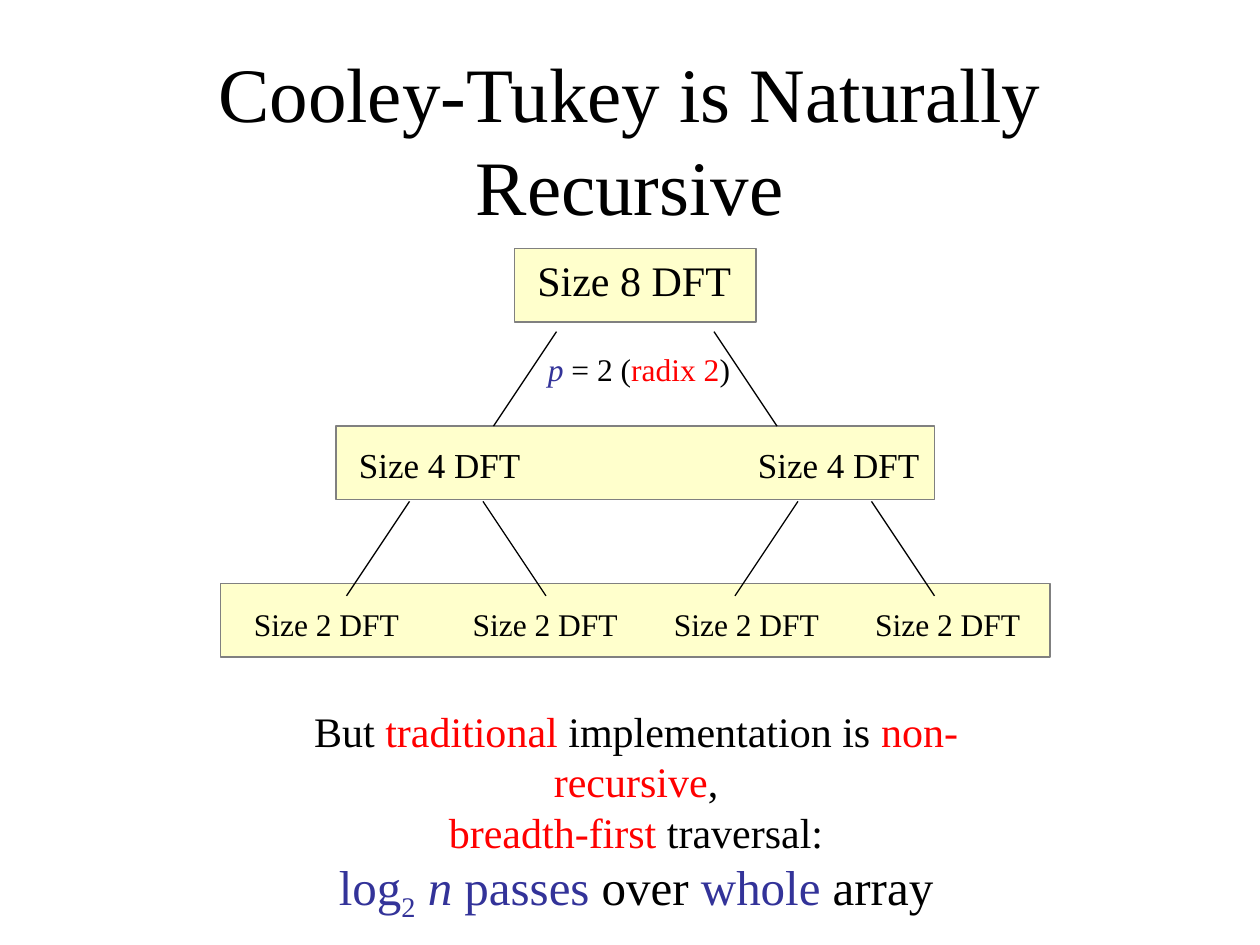
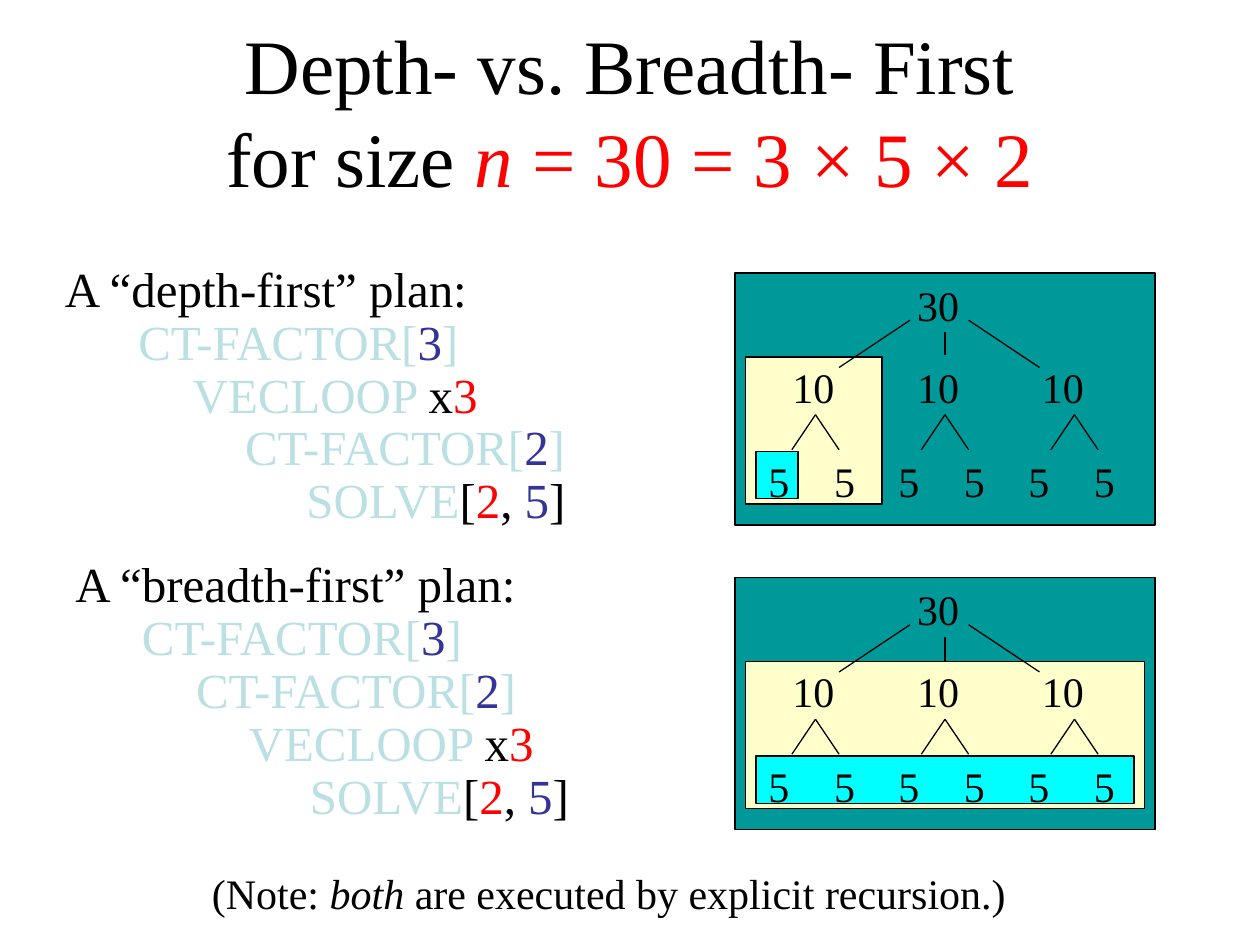
import dataclasses

import lxml.etree
import pptx
import pptx.dml.color
import pptx.enum.shapes
import pptx.enum.text
import pptx.oxml.ns
import pptx.util

Pt = pptx.util.Pt
ALIGN = pptx.enum.text.PP_ALIGN
ANCHOR = pptx.enum.text.MSO_ANCHOR
FIT = pptx.enum.text.MSO_AUTO_SIZE


@dataclasses.dataclass(frozen=True)
class Theme:
    font: str = "Times New Roman"
    ink: str = "000000"
    red: str = "FF0000"
    navy: str = "333399"
    pale: str = "BBE0E3"
    cream: str = "FFFFCC"
    teal: str = "009999"
    cyan: str = "00FFFF"
    gray: str = "808080"
    title: int = 44
    code: int = 28
    body: int = 24
    mid: int = 20
    small: int = 18
    rule: float = 0.75


T = Theme()


def color(name):
    return pptx.dml.color.RGBColor.from_string(name)


def write(frame, paras, size=T.body, align=ALIGN.LEFT):
    """Fill a frame; a run is a string or (text, color, style), "\n" a break."""
    for i, runs in enumerate(paras):
        para = frame.paragraphs[0] if i == 0 else frame.add_paragraph()
        para.alignment = align
        para.font.size = Pt(size)
        for item in runs:
            if item == "\n":
                para.add_line_break()
                continue
            words, tint, style = (item, T.ink, "") if isinstance(item, str) else item
            run = para.add_run()
            run.text = words
            run.font.name = T.font
            run.font.size = Pt(T.code if style.startswith("big") else size)
            run.font.color.rgb = color(tint)
            run.font.italic = style.endswith("italic")
            if style.endswith("sub"):
                run.font._element.set("baseline", "-25000")


def label(slide, box, *paras, wrap=False, inset=7.2, **form):
    """Add a text box; a one-line label gets spare room at its right."""
    shape = slide.shapes.add_textbox(*map(Pt, box))
    frame = shape.text_frame
    frame.word_wrap = wrap
    frame.auto_size = FIT.SHAPE_TO_FIT_TEXT
    frame.margin_left = Pt(inset)
    frame.margin_right = Pt(inset if wrap else 2)
    write(frame, paras, **form)


def head(slide, box, *runs):
    shape = slide.shapes.title
    shape.left, shape.top, shape.width, shape.height = map(Pt, box)
    frame = shape.text_frame
    frame.word_wrap = True
    frame.auto_size = FIT.NONE
    frame.vertical_anchor = ANCHOR.MIDDLE
    frame.margin_left = frame.margin_right = Pt(18)
    write(frame, [runs], size=T.title, align=ALIGN.CENTER)


def rect(slide, box, fill, edge=T.ink):
    shape = slide.shapes.add_shape(
        pptx.enum.shapes.MSO_SHAPE.RECTANGLE, *map(Pt, box))
    shape.shadow.inherit = False
    shape.fill.solid()
    shape.fill.fore_color.rgb = color(fill)
    shape.line.color.rgb = color(edge)
    shape.line.width = Pt(T.rule)
    return shape


def edge(slide, x1, y1, x2, y2):
    line = slide.shapes.add_connector(
        pptx.enum.shapes.MSO_CONNECTOR.STRAIGHT, *map(Pt, (x1, y1, x2, y2)))
    line.line.color.rgb = color(T.ink)
    line.line.width = Pt(T.rule)
    lxml.etree.SubElement(line.element.spPr, pptx.oxml.ns.qn("a:effectLst"))
    return line


def levels(slide, left, top, width):
    """Draw the three rows of transforms and the forks between them."""
    rows = [  # size, row top, row width, text drop, text width, type, text lefts
        (8, 0, 138, 0, 125, T.body, [174]),
        (4, 101.5, 342, 6.5, 106.5, T.mid, [72, 300]),
        (2, 191.5, width, 8.5, 97, T.small, [12, 137, 252, 367]),
    ]
    for _, y, wide, *_ in rows:
        rect(slide, (left + (width - wide) / 2, top + y, wide, 42),
             T.cream, T.gray)
    for count, y, _, drop, wide, size, spots in rows:
        for x in spots:
            label(slide, (left + x, top + y + drop, wide, size * 1.2 + 7.2),
                  [f"Size {count} DFT"], size=size)
    for x, y, gap in [(192, 47.5, 90), (108, 144.5, 42), (330, 144.5, 42)]:
        for start, run in [(x, -36), (x + gap, 36)]:
            edge(slide, left + start, top + y, left + start + run, top + y + 54)
    label(slide, (left + 180, top + 54.5, 119, 29),
          [("p", T.navy, "italic"), " = 2 (", ("radix 2", T.red, ""), ")"],
          size=T.small)


def remark(slide, box):
    label(
        slide, box,
        ["But", (" traditional", T.red, ""), " implementation is ",
         ("non-recursive", T.red, ""), ","],
        [("breadth-first", T.red, ""), " traversal:"],
        [("log", T.navy, "big"), ("2", T.navy, "big sub"),
         (" n", T.navy, "big italic"), (" passes", T.navy, "big"),
         (" over ", T.ink, "big"), ("whole", T.navy, "big"),
         (" array", T.ink, "big")],
        wrap=True, inset=36, align=ALIGN.CENTER)


def factor(num):
    return 203, [("CT-FACTOR[", T.pale, ""), (num, T.navy, ""),
                 ("]", T.pale, "")]


LOOP = 178.5, [("VECLOOP ", T.pale, ""), "x", ("3", T.red, "")]
SOLVE = 165.5, [("SOLVE", T.pale, ""), "[", ("2", T.red, ""), ", ",
                ("5", T.navy, ""), "]"]


def plan(slide, left, top, width, name, lead, steps):
    """Write a heading and its indented steps; lead is the first indent."""
    label(slide, (left, top, width, 41), [f"A “{name}” plan:"], size=T.code)
    for i, (shift, (wide, runs)) in enumerate(zip((0, 31, 61, 96), steps), 1):
        label(slide, (left + lead + shift, top + 30.25 * i, wide, 41),
              runs, size=T.code)


def tree(slide, left, top, branch, leaf):
    """Draw a factor tree; branch and leaf are widths of its marked parts."""
    rect(slide, (left, top, 240, 144), T.teal)
    inner = rect(slide, (left + 6, top + 48, branch, 84), T.cream)
    rect(slide, (left + 12, top + 102, leaf, 27), T.cyan)

    def node(num, x, y, wide):
        label(slide, (left + x, top + y, wide, 36), [num])

    def twig(x1, y1, x2, y2):
        return edge(slide, left + x1, top + y1, left + x2, top + y2)

    node("30", 97, 0, 38.5)
    twig(100, 27, 59.5, 54)
    stem = twig(120, 34, 120, 47)
    if 6 + branch / 2 == 120:
        stem.end_connect(inner, 0)
    twig(133.5, 27, 174, 54)
    for i in range(3):
        node("10", 25.75 + 71.25 * i, 47, 38.5)
        mid = 46 + 74 * i
        for j, side in enumerate((-13.5, 13.5)):
            node("5", 12 + 74.25 * i + 37.5 * j, 101, 26.5)
            twig(mid, 81, mid + side, 101)


def recursion(slide):
    head(slide, (24, 34, 672, 90), "Cooley-Tukey is Naturally Recursive")
    levels(slide, 126, 142, 474)
    remark(slide, (125.5, 399.5, 476, 98.5))


def orders(slide):
    head(slide, (54, 18, 612, 90), "Depth- vs. Breadth- First", "\n",
         "for size ", ("n", T.red, "italic"), (" = 30 = 3 × 5 × 2", T.red, ""))
    plan(slide, 30, 144, 246, "depth-first", 42,
         [factor("3"), LOOP, factor("2"), SOLVE])
    plan(slide, 36, 313, 268, "breadth-first", 38,
         [factor("3"), factor("2"), LOOP, SOLVE])
    tree(slide, 420, 156, 78, 24)
    tree(slide, 420, 330, 228, 216)
    label(slide, (114, 492, 468.5, 36),
          ["(Note: ", ("both", T.ink, "italic"),
           " are executed by explicit recursion.)"])


def main():
    deck = pptx.Presentation()
    deck.slide_width, deck.slide_height = Pt(720), Pt(540)
    for build in (recursion, orders):
        build(deck.slides.add_slide(deck.slide_layouts[5]))
    deck.save("out.pptx")


if __name__ == "__main__":
    main()
